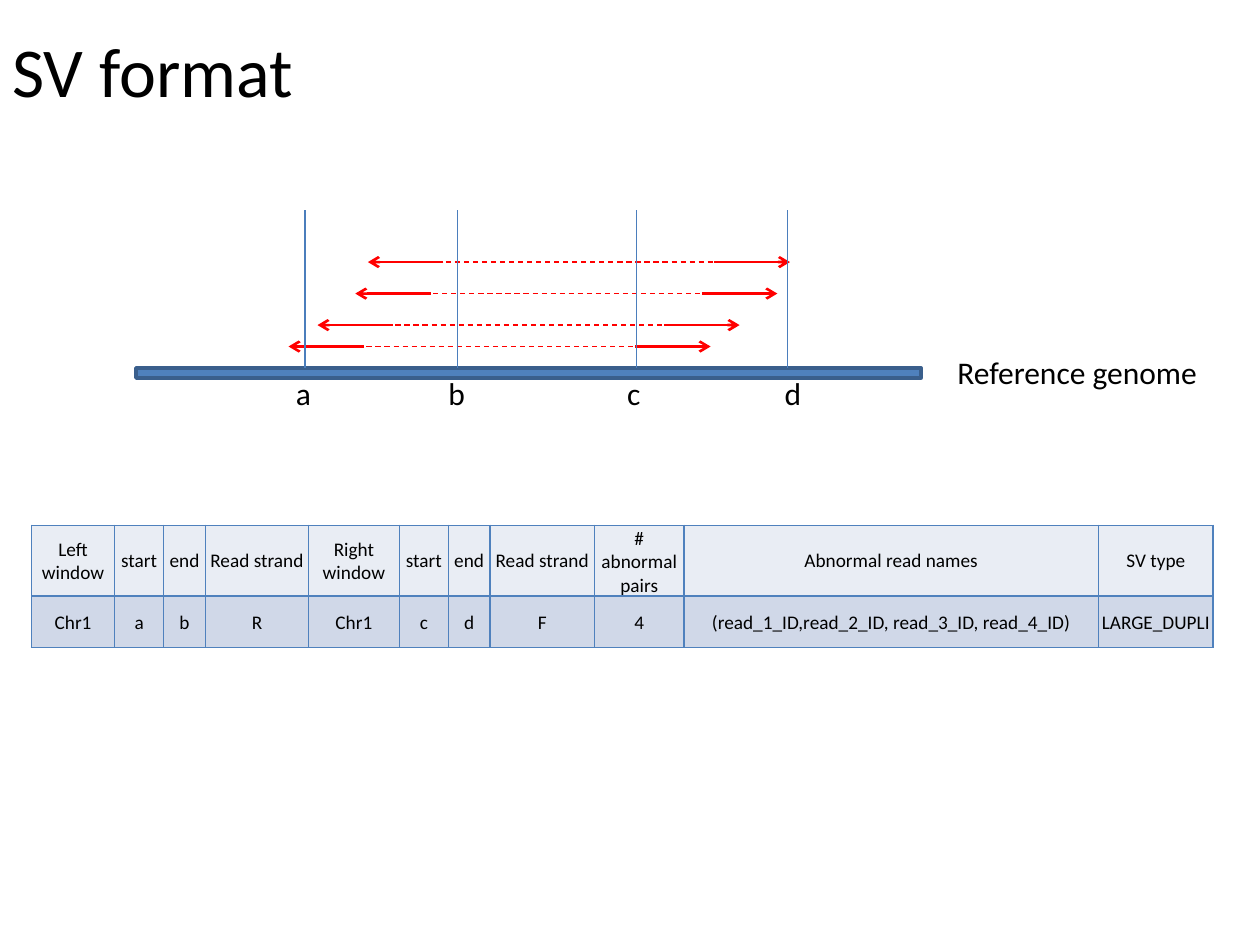
"""Build the SV format slide: read pairs over a reference genome and one table record."""
from dataclasses import dataclass

from lxml import etree
from pptx import Presentation
from pptx.dml.color import RGBColor
from pptx.enum.dml import MSO_LINE
from pptx.enum.shapes import MSO_CONNECTOR, MSO_SHAPE
from pptx.enum.text import MSO_ANCHOR, PP_ALIGN
from pptx.oxml.ns import qn
from pptx.slide import Slide
from pptx.text.text import TextFrame
from pptx.util import Inches, Pt

STRAIGHT = MSO_CONNECTOR.STRAIGHT
RECTANGLE = MSO_SHAPE.RECTANGLE
DASH = MSO_LINE.DASH
MIDDLE = MSO_ANCHOR.MIDDLE
LEFT = PP_ALIGN.LEFT
CENTER = PP_ALIGN.CENTER

FONT = "Calibri"
COLORS = {
    "text": "000000",
    "read": "FF0000",
    "genome": "4F81BD",
    "genome_edge": "3A5F8C",
    "breakpoint": "4B7EBC",
    "border": "4F81BD",
    "header": "E9EDF4",
    "record": "D0D8E8",
}

GENOME_TOP = 2.92
BREAKPOINT_TOP = 1.67
READ_LENGTH = 0.6
MATE_OFFSET = 2.75
INSERT_OFFSET = 0.26
INSERT_LENGTH = 2.9


@dataclass(frozen=True)
class ReadPair:
    left: float
    y: float


@dataclass(frozen=True)
class Breakpoint:
    name: str
    x: float
    label_left: float


@dataclass(frozen=True)
class Column:
    width: float
    header: str
    value: str


READ_PAIRS = (
    ReadPair(2.52, 2.58),
    ReadPair(2.29, 2.75),
    ReadPair(2.82, 2.33),
    ReadPair(2.92, 2.08),
)
BREAKPOINTS = (
    Breakpoint("a", 2.42, 2.25),
    Breakpoint("b", 3.63, 3.46),
    Breakpoint("c", 5.05, 4.88),
    Breakpoint("d", 6.25, 6.13),
)
COLUMNS = (
    Column(0.66, "Left window", "Chr1"),
    Column(0.39, "start", "a"),
    Column(0.33, "end", "b"),
    Column(0.82, "Read strand", "R"),
    Column(0.72, "Right window", "Chr1"),
    Column(0.39, "start", "c"),
    Column(0.33, "end", "d"),
    Column(0.83, "Read strand", "F"),
    Column(0.71, "# abnormal pairs", "4"),
    Column(3.29, "Abnormal read names", "(read_1_ID,read_2_ID, read_3_ID, read_4_ID)"),
    Column(0.91, "SV type", "LARGE_DUPLI"),
)
ROW_HEIGHTS = (0.56, 0.41)


def color(name: str) -> RGBColor:
    """Return a named palette colour."""
    return RGBColor.from_string(COLORS[name])


def write_text(frame: TextFrame, text: str, size: float, alignment: PP_ALIGN = LEFT) -> None:
    """Put one formatted run in the first paragraph."""
    paragraph = frame.paragraphs[0]
    paragraph.alignment = alignment
    run = paragraph.add_run()
    run.text = text
    run.font.name = FONT
    run.font.size = Pt(size)
    run.font.color.rgb = color("text")


def add_label(slide: Slide, text: str, left: float, top: float,
              width: float, height: float, size: float) -> None:
    """Add a wrapped text box."""
    box = slide.shapes.add_textbox(Inches(left), Inches(top), Inches(width), Inches(height))
    box.text_frame.word_wrap = True
    write_text(box.text_frame, text, size)


def add_line(slide: Slide, start: tuple[float, float], end: tuple[float, float],
             color_name: str, width: float, dashed: bool = False, arrow: bool = False) -> None:
    """Add a straight line, optionally dashed or with an arrowhead at its end."""
    connector = slide.shapes.add_connector(
        STRAIGHT, *(Inches(value) for value in (*start, *end)))
    connector.line.color.rgb = color(color_name)
    connector.line.width = Pt(width)
    if dashed:
        connector.line.dash_style = DASH
    properties = connector.element.spPr
    if arrow:
        etree.SubElement(properties.find(qn("a:ln")), qn("a:tailEnd"), type="arrow")
    etree.SubElement(properties, qn("a:effectLst"))


def add_genome(slide: Slide) -> None:
    """Add the reference genome bar."""
    bar = slide.shapes.add_shape(
        RECTANGLE, Inches(1.08), Inches(GENOME_TOP), Inches(6.23), Inches(0.08))
    bar.shadow.inherit = False
    bar.fill.solid()
    bar.fill.fore_color.rgb = color("genome")
    bar.line.color.rgb = color("genome_edge")
    bar.line.width = Pt(2)


def add_read_pair(slide: Slide, pair: ReadPair) -> None:
    """Add two outward reads joined by a dashed insert."""
    mate = pair.left + MATE_OFFSET
    insert = pair.left + INSERT_OFFSET
    add_line(slide, (pair.left + READ_LENGTH, pair.y), (pair.left, pair.y), "read", 1.5, arrow=True)
    add_line(slide, (mate, pair.y), (mate + READ_LENGTH, pair.y), "read", 1.5, arrow=True)
    add_line(slide, (insert, pair.y), (insert + INSERT_LENGTH, pair.y), "read", 0.75, dashed=True)


def add_record_table(slide: Slide) -> None:
    """Add the table with its header and one record."""
    width = sum(column.width for column in COLUMNS)
    table = slide.shapes.add_table(
        len(ROW_HEIGHTS), len(COLUMNS), Inches(0.25), Inches(4.17),
        Inches(width), Inches(sum(ROW_HEIGHTS))).table
    for row, height in zip(table.rows, ROW_HEIGHTS):
        row.height = Inches(height)
    for index, column in enumerate(COLUMNS):
        table.columns[index].width = Inches(column.width)
        for row_index, (text, fill) in enumerate(
                ((column.header, "header"), (column.value, "record"))):
            cell = table.cell(row_index, index)
            cell.margin_left = cell.margin_right = cell.margin_top = Inches(0.01)
            cell.margin_bottom = Inches(0)
            cell.vertical_anchor = MIDDLE
            write_text(cell.text_frame, text, 11, CENTER)
            properties = cell._tc.get_or_add_tcPr()
            for side in ("lnL", "lnR", "lnT", "lnB"):
                border = etree.SubElement(properties, qn(f"a:{side}"), w=str(Pt(1)))
                border_fill = etree.SubElement(border, qn("a:solidFill"))
                etree.SubElement(border_fill, qn("a:srgbClr"), val=COLORS["border"])
            cell.fill.solid()
            cell.fill.fore_color.rgb = color(fill)


def main() -> None:
    """Assemble and save the slide."""
    presentation = Presentation()
    presentation.slide_width = Inches(10)
    presentation.slide_height = Inches(7.5)
    slide = presentation.slides.add_slide(presentation.slide_layouts[6])
    add_genome(slide)
    for pair in READ_PAIRS:
        add_read_pair(slide, pair)
    add_label(slide, "Reference genome", 7.5, 2.75, 2.42, 0.4, 18)
    for point in BREAKPOINTS:
        add_line(slide, (point.x, GENOME_TOP), (point.x, BREAKPOINT_TOP), "breakpoint", 0.75)
        add_label(slide, point.name, point.label_left, GENOME_TOP, 0.54, 0.4, 18)
    add_record_table(slide)
    add_label(slide, "SV format", 0, 0.17, 8.33, 0.77, 40)
    presentation.save("out.pptx")


if __name__ == "__main__":
    main()
